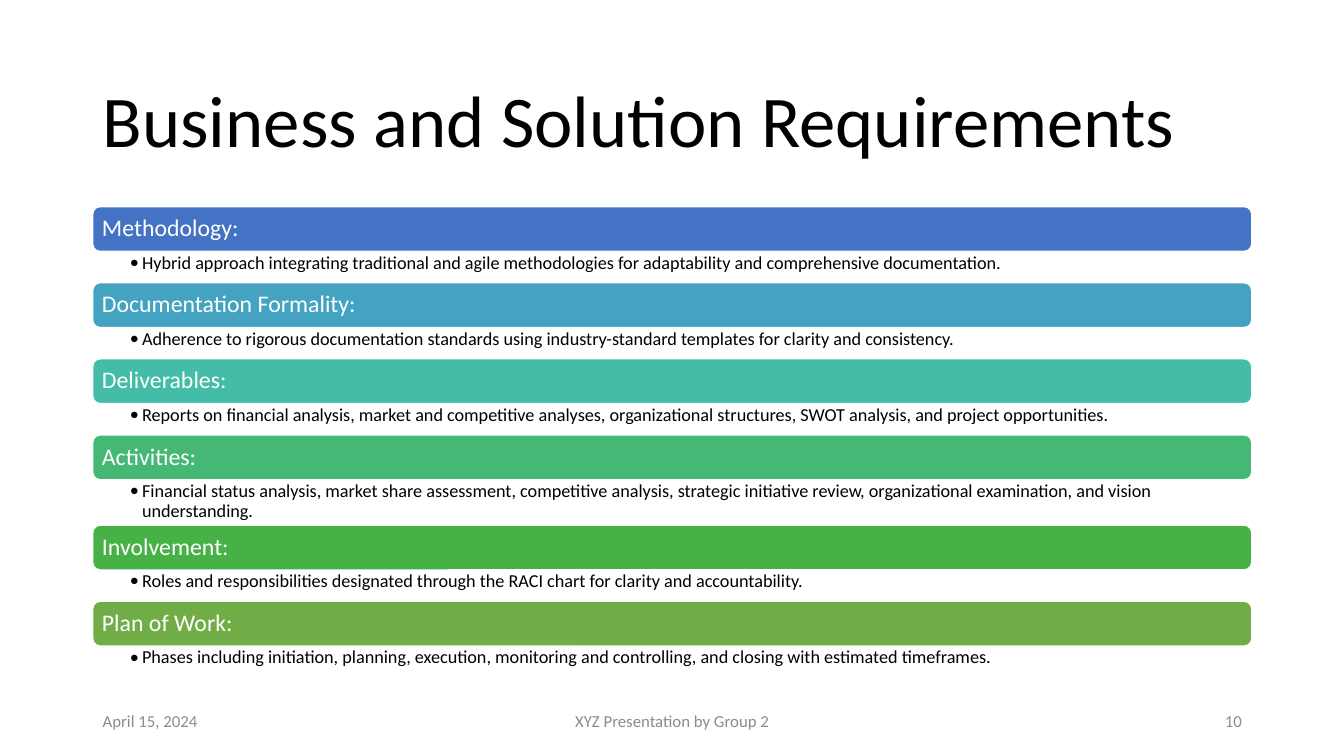
"""Build the requirements slide: six coloured headings, each with one bullet."""
from dataclasses import dataclass

from lxml import etree
from pptx import Presentation
from pptx.dml.color import RGBColor
from pptx.enum.shapes import MSO_SHAPE
from pptx.enum.text import MSO_ANCHOR, MSO_AUTO_SIZE, PP_ALIGN
from pptx.oxml.ns import qn
from pptx.util import Emu, Pt

ROUNDED = MSO_SHAPE.ROUNDED_RECTANGLE
TOP, MIDDLE = MSO_ANCHOR.TOP, MSO_ANCHOR.MIDDLE
LEFT, CENTER, RIGHT = PP_ALIGN.LEFT, PP_ALIGN.CENTER, PP_ALIGN.RIGHT

PX = 4572
FONT = "Calibri"
COLORS = {
    "white": "FFFFFF",
    "black": "000000",
    "grey": "8C8C8C",
    "blue": "4472C4",
    "sky": "44A3C0",
    "teal": "43BDA7",
    "mint": "44B874",
    "green": "46B246",
    "olive": "70AD47",
}
MARGIN, CONTENT_W = 184, 2300
LIST_TOP, BAR_H, LINE_H, TWO_LINE_H = 410, 89, 62, 90
FOOTER_TOP, FOOTER_H = 1390, 80
BULLET_INDENT = 24


@dataclass
class Section:
    """A heading bar and the bullet below it."""

    heading: str
    detail: str
    color: str
    detail_h: int = LINE_H


@dataclass
class Footer:
    """One text at the foot of the slide."""

    text: str
    left: int
    width: int
    align: PP_ALIGN


@dataclass
class TextStyle:
    """How the text of a box is set."""

    size: int
    color: str
    align: PP_ALIGN = LEFT
    anchor: MSO_ANCHOR = MIDDLE
    insets: tuple[int, int, int, int] = (20, 10, 20, 10)
    spacing: float = 0.9


TITLE = TextStyle(52, "black")
HEADING = TextStyle(17, "white", insets=(14, 14, 14, 14))
DETAIL = TextStyle(13, "black", anchor=TOP, insets=(74, 4, 26, 4))

SECTIONS = [
    Section("Methodology:",
            "Hybrid approach integrating traditional and agile methodologies "
            "for adaptability and comprehensive documentation.", "blue"),
    Section("Documentation Formality:",
            "Adherence to rigorous documentation standards using "
            "industry-standard templates for clarity and consistency.", "sky"),
    Section("Deliverables:",
            "Reports on financial analysis, market and competitive analyses, "
            "organizational structures, SWOT analysis, and project opportunities.", "teal"),
    Section("Activities:",
            "Financial status analysis, market share assessment, competitive analysis, "
            "strategic initiative review, organizational examination, "
            "and vision understanding.", "mint", TWO_LINE_H),
    Section("Involvement:",
            "Roles and responsibilities designated through the RACI chart "
            "for clarity and accountability.", "green"),
    Section("Plan of Work:",
            "Phases including initiation, planning, execution, monitoring and "
            "controlling, and closing with estimated timeframes.", "olive"),
]
FOOTERS = [
    Footer("April 15, 2024", MARGIN, 600, LEFT),
    Footer("XYZ Presentation by Group 2", 884, 900, CENTER),
    Footer("10", 1884, 600, RIGHT),
]


def rgb(name: str) -> RGBColor:
    """Return the named colour."""
    return RGBColor.from_string(COLORS[name])


def box(left: int, top: int, width: int, height: int) -> list[Emu]:
    """Turn a box in px into EMU."""
    return [Emu(v * PX) for v in (left, top, width, height)]


def write(sp, text: str, style: TextStyle):
    """Write one styled paragraph into a shape and return it."""
    tf = sp.text_frame
    left, top, right, bottom = (Emu(v * PX) for v in style.insets)
    frame_format = {
        "auto_size": MSO_AUTO_SIZE.NONE, "word_wrap": True,
        "vertical_anchor": style.anchor, "margin_left": left,
        "margin_top": top, "margin_right": right, "margin_bottom": bottom,
    }
    for name, value in frame_format.items():
        setattr(tf, name, value)
    p = tf.paragraphs[0]
    p.alignment, p.line_spacing = style.align, style.spacing
    r = p.add_run()
    r.text = text
    r.font.name, r.font.size = FONT, Pt(style.size)
    r.font.color.rgb = rgb(style.color)
    return p


def add_bullet(p) -> None:
    """Give a paragraph a hanging bullet."""
    p.level = 1
    props = p._p.get_or_add_pPr()
    props.set("marL", str(BULLET_INDENT * PX))
    props.set("indent", str(-BULLET_INDENT * PX))
    etree.SubElement(props, qn("a:buFont")).set("typeface", FONT)
    etree.SubElement(props, qn("a:buChar")).set("char", "•")


def add_section(s, section: Section, top: int) -> int:
    """Draw a section and return the top of the next one."""
    bar = s.shapes.add_shape(ROUNDED, *box(MARGIN, top, CONTENT_W, BAR_H))
    bar.shadow.inherit = False
    bar.fill.solid()
    bar.fill.fore_color.rgb = rgb(section.color)
    bar.line.color.rgb = rgb("white")
    bar.line.width = Pt(1)
    write(bar, section.heading, HEADING)
    top += BAR_H
    sp = s.shapes.add_textbox(*box(MARGIN, top, CONTENT_W, section.detail_h))
    add_bullet(write(sp, section.detail, DETAIL))
    return top + section.detail_h


def add_footer(s, footer: Footer) -> None:
    """Draw one footer text."""
    sp = s.shapes.add_textbox(*box(footer.left, FOOTER_TOP, footer.width, FOOTER_H))
    write(sp, footer.text, TextStyle(12, "grey", footer.align, spacing=1.0))


def main() -> None:
    """Build and save the slide."""
    prs = Presentation()
    prs.slide_width, prs.slide_height = Emu(2667 * PX), Emu(1500 * PX)
    s = prs.slides.add_slide(prs.slide_layouts[5])
    title = s.shapes.title
    title.left, title.top, title.width, title.height = box(MARGIN, 122, CONTENT_W, 248)
    write(title, "Business and Solution Requirements", TITLE)
    top = LIST_TOP
    for section in SECTIONS:
        top = add_section(s, section, top)
    for footer in FOOTERS:
        add_footer(s, footer)
    prs.save("out.pptx")


if __name__ == "__main__":
    main()
